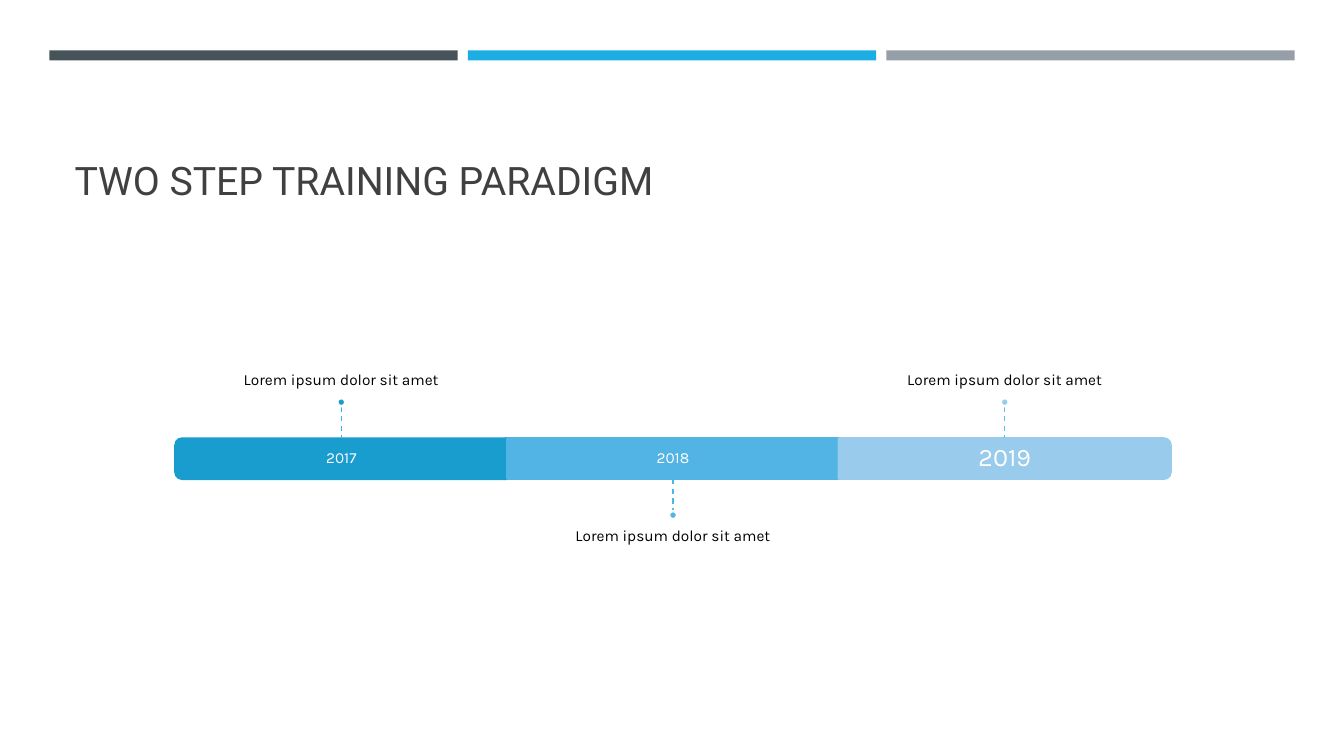
from dataclasses import dataclass

from lxml import etree
from pptx import Presentation
from pptx.dml.color import RGBColor
from pptx.enum.dml import MSO_LINE
from pptx.enum.shapes import MSO_CONNECTOR, MSO_SHAPE
from pptx.enum.text import MSO_ANCHOR, MSO_AUTO_SIZE, PP_ALIGN
from pptx.oxml.ns import qn
from pptx.slide import Slide
from pptx.util import Inches, Pt

RECTANGLE, OVAL = MSO_SHAPE.RECTANGLE, MSO_SHAPE.OVAL
ROUNDED_END = MSO_SHAPE.ROUND_2_SAME_RECTANGLE
STRAIGHT, DASH = MSO_CONNECTOR.STRAIGHT, MSO_LINE.DASH
TOP, MIDDLE, BOTTOM = MSO_ANCHOR.TOP, MSO_ANCHOR.MIDDLE, MSO_ANCHOR.BOTTOM
LEFT, CENTER = PP_ALIGN.LEFT, PP_ALIGN.CENTER
NO_AUTOFIT = MSO_AUTO_SIZE.NONE

BLACK = RGBColor(0x00, 0x00, 0x00)
WHITE = RGBColor(0xFF, 0xFF, 0xFF)
TITLE_GRAY = RGBColor(0x40, 0x40, 0x40)
STRIPE_COLORS = (RGBColor(0x46, 0x53, 0x59), RGBColor(0x1C, 0xAD, 0xE4),
                 RGBColor(0x96, 0x9F, 0xA7))

SLIDE_WIDTH, SLIDE_HEIGHT = 13.33, 7.5
STRIPE_LEFT, STRIPE_TOP, STRIPE_WIDTH, STRIPE_PITCH = 0.49, 0.5, 4.05, 4.15
BAR_LEFT, BAR_TOP, BAR_HEIGHT, STEP_WIDTH = 1.74, 4.35, 0.4, 3.29
STEM, DOT = 0.32, 0.08
NOTE_WIDTH, NOTE_HEIGHT, NOTE_INSET = 5.48, 1.39, 0.09


@dataclass(frozen=True)
class Step:
    year: str
    note: str
    color: RGBColor
    stem_color: RGBColor
    above: bool = True
    rotation: int = 0
    year_size: int = 11


STEPS = (
    Step("2017", "Lorem ipsum dolor sit amet", RGBColor(0x19, 0x9D, 0xCF),
         RGBColor(0x36, 0xB3, 0xE9), rotation=270),
    Step("2018", "Lorem ipsum dolor sit amet", RGBColor(0x52, 0xB3, 0xE5),
         RGBColor(0x48, 0xB8, 0xEC), above=False),
    Step("2019", "Lorem ipsum dolor sit amet", RGBColor(0x99, 0xCB, 0xEC),
         RGBColor(0x5A, 0xBE, 0xEF), rotation=90, year_size=18),
)


def add_block(slide: Slide, kind: MSO_SHAPE, center_x: float, center_y: float,
              width: float, height: float, fill: RGBColor,
              outline: RGBColor | None = None, rotation: int = 0) -> None:
    block = slide.shapes.add_shape(
        kind, Inches(center_x - width / 2), Inches(center_y - height / 2),
        Inches(width), Inches(height))
    block.rotation = rotation
    block.shadow.inherit = False
    block.fill.solid()
    block.fill.fore_color.rgb = fill
    if outline is None:
        block.line.fill.background()
    else:
        block.line.color.rgb = outline
        block.line.width = Pt(1.75)


def add_label(slide: Slide, text: str, center_x: float, top: float, width: float,
              height: float, anchor: MSO_ANCHOR, size: int, color: RGBColor,
              inset_top: float, inset_bottom: float) -> None:
    label = slide.shapes.add_textbox(Inches(center_x - width / 2), Inches(top),
                                     Inches(width), Inches(height))
    frame = label.text_frame
    frame.word_wrap = True
    frame.vertical_anchor = anchor
    frame.margin_left = frame.margin_right = 0
    frame.margin_top, frame.margin_bottom = Inches(inset_top), Inches(inset_bottom)
    paragraph = frame.paragraphs[0]
    paragraph.text = text
    paragraph.alignment = CENTER
    paragraph.line_spacing = 0.9
    paragraph.font.name = "Karla"
    paragraph.font.size = Pt(size)
    paragraph.font.color.rgb = color


def add_stem(slide: Slide, x: float, start: float, end: float, color: RGBColor) -> None:
    stem = slide.shapes.add_connector(STRAIGHT, Inches(x), Inches(start),
                                      Inches(x), Inches(end))
    stem.line.color.rgb = color
    stem.line.width = Pt(1)
    stem.line.dash_style = DASH
    etree.SubElement(stem.element.spPr, qn("a:effectLst"))


def add_step(slide: Slide, step: Step, center_x: float) -> None:
    """Draw one bar segment with its year, dashed stem, dot and note."""
    bar_middle = BAR_TOP + BAR_HEIGHT / 2
    if step.rotation:
        add_block(slide, ROUNDED_END, center_x, bar_middle, BAR_HEIGHT, STEP_WIDTH,
                  step.color, step.color, step.rotation)
    else:
        add_block(slide, RECTANGLE, center_x, bar_middle, STEP_WIDTH, BAR_HEIGHT,
                  step.color, step.color)
    add_label(slide, step.year, center_x, BAR_TOP, STEP_WIDTH, BAR_HEIGHT, MIDDLE,
              step.year_size, WHITE, 0, 0)

    if step.above:
        stem_start, stem_end = BAR_TOP - STEM, BAR_TOP
        dot_y = stem_start - DOT / 2
        note_top, anchor = dot_y - DOT / 2 - NOTE_HEIGHT, BOTTOM
        inset_top, inset_bottom = 0, NOTE_INSET
    else:
        stem_start = BAR_TOP + BAR_HEIGHT
        stem_end = stem_start + STEM
        dot_y = stem_end + DOT / 2
        note_top, anchor = dot_y + DOT / 2, TOP
        inset_top, inset_bottom = NOTE_INSET, 0
    add_label(slide, step.note, center_x, note_top, NOTE_WIDTH, NOTE_HEIGHT, anchor,
              11, BLACK, inset_top, inset_bottom)
    add_stem(slide, center_x, stem_start, stem_end, step.stem_color)
    add_block(slide, OVAL, center_x, dot_y, DOT, DOT, step.color, WHITE)


def set_title(slide: Slide, text: str) -> None:
    title = slide.shapes.title
    title.left, title.top = Inches(0.64), Inches(0.77)
    title.width, title.height = Inches(12.06), Inches(1.3)
    frame = title.text_frame
    frame.auto_size = NO_AUTOFIT
    frame.vertical_anchor = BOTTOM
    paragraph = frame.paragraphs[0]
    paragraph.text = text
    paragraph.alignment = LEFT
    paragraph.font.name = "Roboto"
    paragraph.font.size = Pt(28)
    paragraph.font.color.rgb = TITLE_GRAY


def main() -> None:
    deck = Presentation()
    deck.slide_width, deck.slide_height = Inches(SLIDE_WIDTH), Inches(SLIDE_HEIGHT)
    slide = deck.slides.add_slide(deck.slide_layouts.get_by_name("Title Only"))
    set_title(slide, "TWO STEP TRAINING PARADIGM")
    for i, color in enumerate(STRIPE_COLORS):
        add_block(slide, RECTANGLE, STRIPE_LEFT + STRIPE_WIDTH / 2 + i * STRIPE_PITCH,
                  STRIPE_TOP + 0.05, STRIPE_WIDTH, 0.1, color)
    for i, step in enumerate(STEPS):
        add_step(slide, step, BAR_LEFT + (i + 0.5) * STEP_WIDTH)
    deck.save("out.pptx")


if __name__ == "__main__":
    main()
